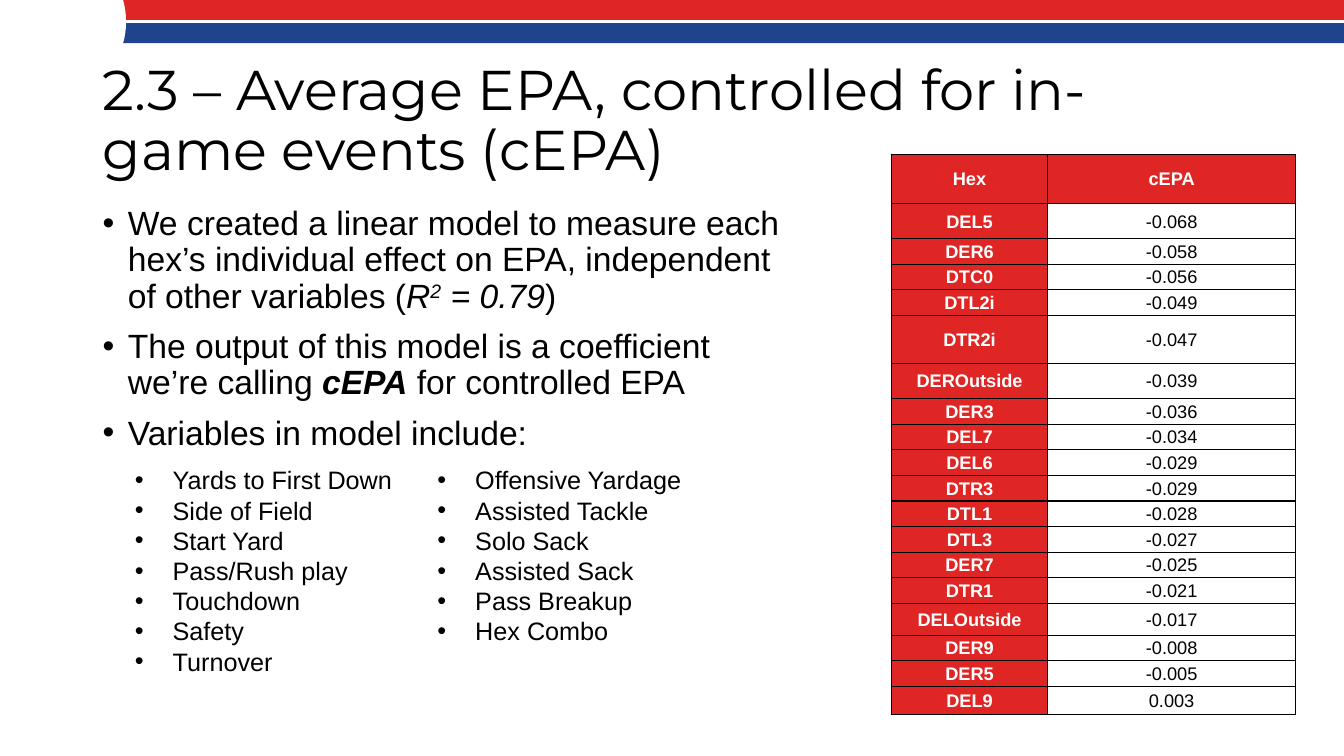
from dataclasses import dataclass
from typing import NamedTuple

from pptx import Presentation
from pptx.dml.color import RGBColor
from pptx.enum.shapes import MSO_CONNECTOR, MSO_SHAPE
from pptx.enum.text import MSO_ANCHOR, MSO_AUTO_SIZE, PP_ALIGN
from pptx.oxml.ns import qn
from pptx.util import Inches, Pt
from lxml.etree import SubElement

RED, BLUE, WHITE, BLACK = "E02624", "1F438C", "FFFFFF", "000000"

deck = Presentation()
deck.slide_width, deck.slide_height = Inches(13.33), Inches(7.5)
page = deck.slides.add_slide(deck.slide_layouts[6])


class Frame(NamedTuple):
    left: float
    top: float
    width: float
    height: float


class Span(NamedTuple):
    text: str
    bold: bool = False
    italic: bool = False
    raised: bool = False


class Row(NamedTuple):
    label: str
    value: str
    height: float = 3.39


@dataclass
class Band:
    shape: MSO_SHAPE
    frame: Frame
    color: str


@dataclass
class Bullets:
    frame: Frame
    paragraphs: list[list[Span]]
    size: float
    margin: float
    hanging: float
    level: int = 0
    line_spacing: float = 1.0
    space_before: float = 0
    grows: bool = False


def across(percent: float) -> int:
    return round(deck.slide_width * percent / 100)


def down(percent: float) -> int:
    return round(deck.slide_height * percent / 100)


def place(frame: Frame) -> tuple[int, int, int, int]:
    return across(frame.left), down(frame.top), across(frame.width), down(frame.height)


def color_of(code: str) -> RGBColor:
    return RGBColor.from_string(code)


def style_font(font, size: float, color: str = BLACK, name: str = "Arial") -> None:
    font.size, font.name = Pt(size), name
    font.color.rgb = color_of(color)


def draw_band(band: Band) -> None:
    shape = page.shapes.add_shape(band.shape, *place(band.frame))
    shape.shadow.inherit = False
    shape.fill.solid()
    shape.fill.fore_color.rgb = color_of(band.color)
    shape.line.fill.background()


def draw_divider(start: float, end: float, top: float) -> None:
    line = page.shapes.add_connector(
        MSO_CONNECTOR.STRAIGHT, across(start), down(top), across(end), down(top))
    line.line.color.rgb = color_of(WHITE)
    line.line.width = Pt(2.25)
    SubElement(line._element.spPr, qn("a:effectLst"))


def add_text_frame(frame: Frame):
    text_frame = page.shapes.add_textbox(*place(frame)).text_frame
    text_frame.word_wrap = True
    return text_frame


def draw_title(text: str, frame: Frame) -> None:
    text_frame = add_text_frame(frame)
    text_frame.vertical_anchor = MSO_ANCHOR.MIDDLE
    text_frame.text = text
    para = text_frame.paragraphs[0]
    para.line_spacing = 0.9
    style_font(para.runs[0].font, 40, name="Montserrat")


def draw_bullets(bullets: Bullets) -> None:
    text_frame = add_text_frame(bullets.frame)
    if bullets.grows:
        text_frame.auto_size = MSO_AUTO_SIZE.SHAPE_TO_FIT_TEXT
    for index, spans in enumerate(bullets.paragraphs):
        para = text_frame.add_paragraph() if index else text_frame.paragraphs[0]
        para.level = bullets.level
        para.line_spacing = bullets.line_spacing
        para.space_before = Pt(bullets.space_before)
        properties = para._p.get_or_add_pPr()
        properties.set("marL", str(across(bullets.margin)))
        properties.set("indent", str(-across(bullets.hanging)))
        SubElement(properties, qn("a:buFont"), typeface="Arial")
        SubElement(properties, qn("a:buChar"), char="•")
        for span in spans:
            run = para.add_run()
            run.text = span.text
            style_font(run.font, bullets.size)
            run.font.bold, run.font.italic = span.bold, span.italic
            if span.raised:
                run.font._element.set("baseline", "30000")


def border_cell(cell) -> None:
    properties = cell._tc.get_or_add_tcPr()
    for side in ("lnL", "lnR", "lnT", "lnB"):
        border = SubElement(properties, qn(f"a:{side}"), w=str(Pt(1)))
        fill = SubElement(border, qn("a:solidFill"))
        SubElement(fill, qn("a:srgbClr"), val=BLACK)


def fill_cell(cell, text: str, highlighted: bool) -> None:
    border_cell(cell)
    cell.fill.solid()
    cell.fill.fore_color.rgb = color_of(RED if highlighted else WHITE)
    cell.vertical_anchor = MSO_ANCHOR.MIDDLE
    cell.margin_left = cell.margin_right = cell.margin_top = Inches(0.01)
    cell.margin_bottom = 0
    cell.text_frame.text = text
    para = cell.text_frame.paragraphs[0]
    para.alignment = PP_ALIGN.CENTER
    font = para.runs[0].font
    style_font(font, 13, WHITE if highlighted else BLACK)
    font.bold = highlighted


def draw_table(rows: list[Row], left: float, top: float, widths: tuple[float, ...]) -> None:
    frame = Frame(left, top, sum(widths), sum(row.height for row in rows))
    table = page.shapes.add_table(len(rows), len(widths), *place(frame)).table
    table.first_row = table.horz_banding = False
    for column, width in zip(table.columns, widths):
        column.width = across(width)
    for index, row in enumerate(rows):
        table.rows[index].height = down(row.height)
        fill_cell(table.cell(index, 0), row.label, True)
        fill_cell(table.cell(index, 1), row.value, index == 0)


BANDS = [
    Band(MSO_SHAPE.RECTANGLE, Frame(5.25, -0.27, 94.75, 4.13), RED),
    Band(MSO_SHAPE.RECTANGLE, Frame(5.25, 2.8, 94.75, 2.93), BLUE),
    Band(MSO_SHAPE.OVAL, Frame(-2.55, -7.73, 11.93, 21.2), WHITE),
]
FINDINGS = [
    [Span("We created a linear model to measure each hex’s individual effect on EPA, "
          "independent of other variables ("),
     Span("R", italic=True), Span("2", italic=True, raised=True),
     Span(" = 0.79", italic=True), Span(")")],
    [Span("The output of this model is a coefficient we’re calling "),
     Span("cEPA", bold=True, italic=True), Span(" for controlled EPA")],
    [Span("Variables in model include:")],
]
VARIABLES = [
    (Frame(5.55, 60.8, 50.04, 33.6),
     ["Yards to First Down", "Side of Field", "Start Yard", "Pass/Rush play",
      "Touchdown", "Safety", "Turnover"]),
    (Frame(28.06, 60.8, 30.08, 25.6),
     ["Offensive Yardage", "Assisted Tackle", "Solo Sack", "Assisted Sack",
      "Pass Breakup", "Hex Combo"]),
]
COEFFICIENTS = [
    Row("Hex", "cEPA", 6.55), Row("DEL5", "-0.068", 4.63), Row("DER6", "-0.058"),
    Row("DTC0", "-0.056"), Row("DTL2i", "-0.049"), Row("DTR2i", "-0.047", 6.37),
    Row("DEROutside", "-0.039", 4.63), Row("DER3", "-0.036"), Row("DEL7", "-0.034"),
    Row("DEL6", "-0.029"), Row("DTR3", "-0.029"), Row("DTL1", "-0.028"),
    Row("DTL3", "-0.027"), Row("DER7", "-0.025"), Row("DTR1", "-0.021"),
    Row("DELOutside", "-0.017", 4.2), Row("DER9", "-0.008"), Row("DER5", "-0.005"),
    Row("DEL9", "0.003", 3.75),
]

for band in BANDS:
    draw_band(band)
draw_divider(9.38, 100, 2.8)
draw_title("2.3 – Average EPA, controlled for in-game events (cEPA)",
           Frame(6.9, 6.53, 86.27, 19.33))
draw_bullets(Bullets(Frame(6.9, 26.67, 53.34, 63.47), FINDINGS, 24, 1.88, 1.88,
                     line_spacing=0.9, space_before=10))
for frame, names in VARIABLES:
    draw_bullets(Bullets(frame, [[Span(name)] for name in names], 18, 6.56, 2.81,
                         level=1, grows=True))
draw_table(COEFFICIENTS, 66.32, 20.4, (11.63, 18.45))

deck.save("out.pptx")
